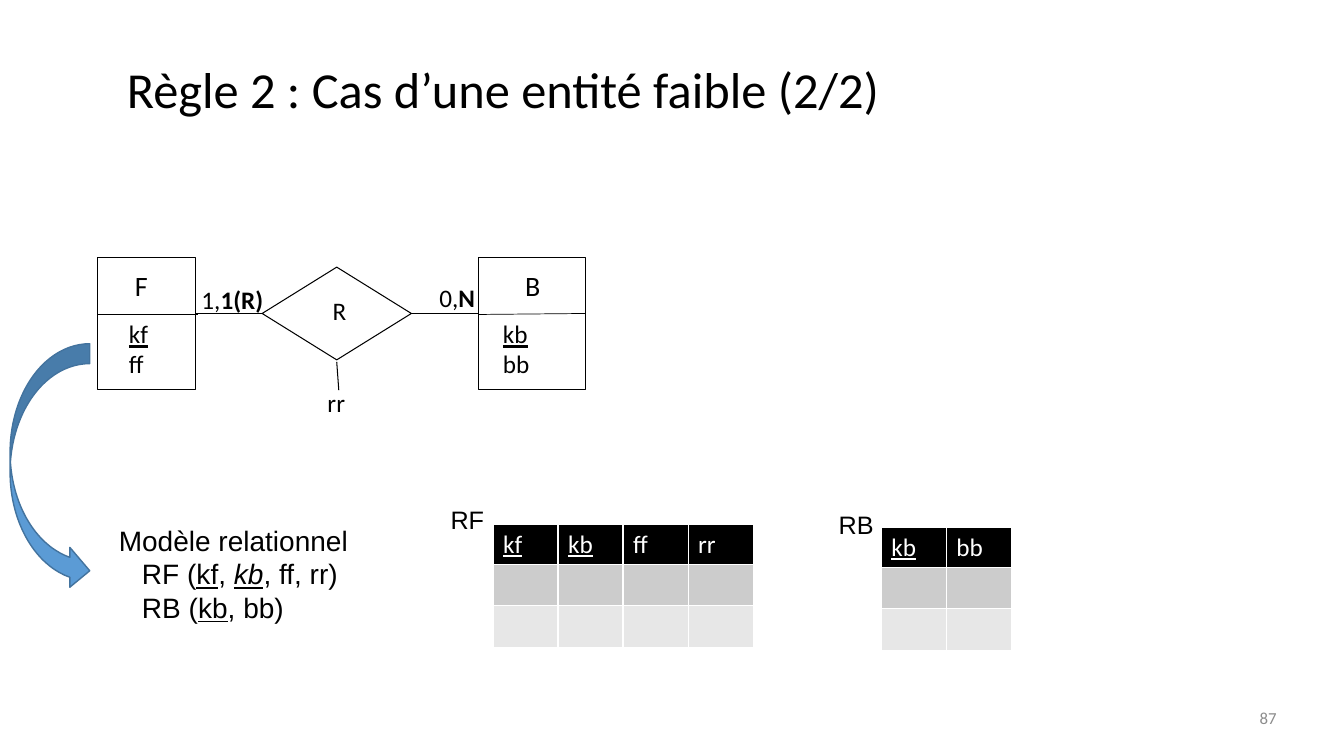
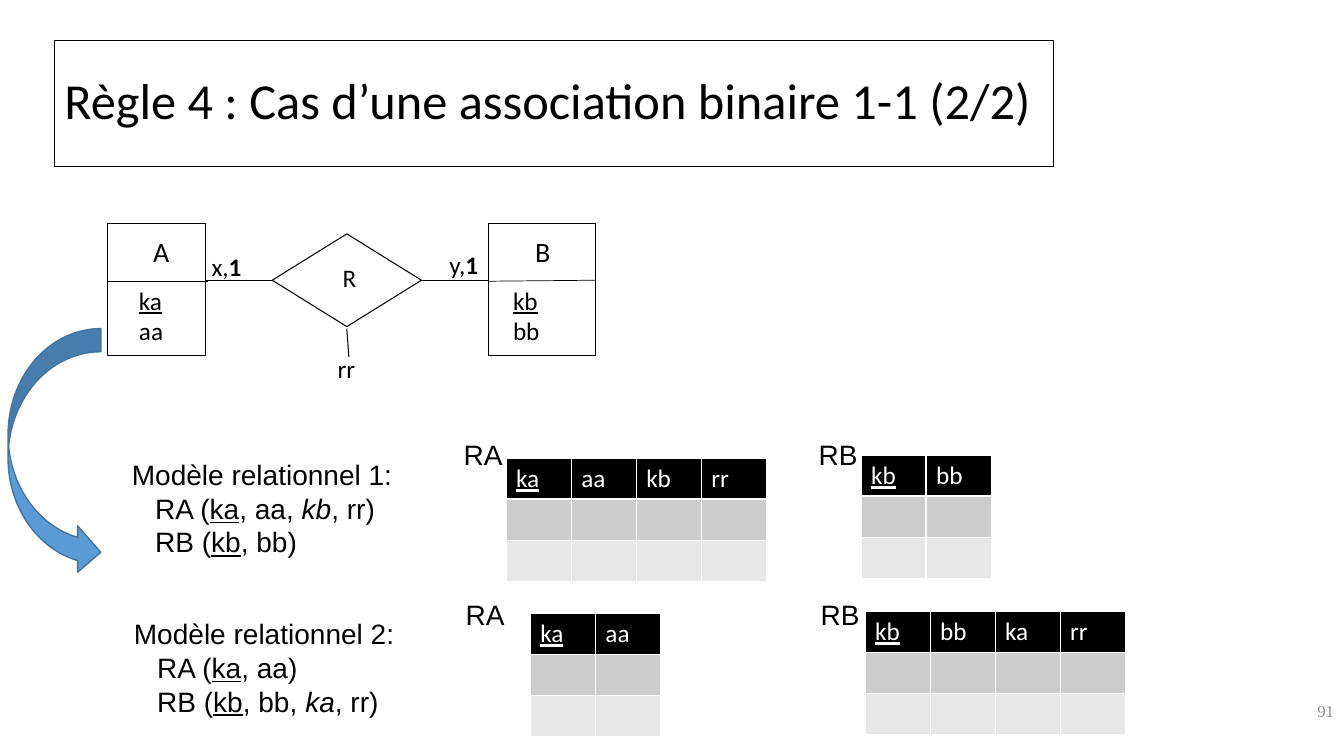
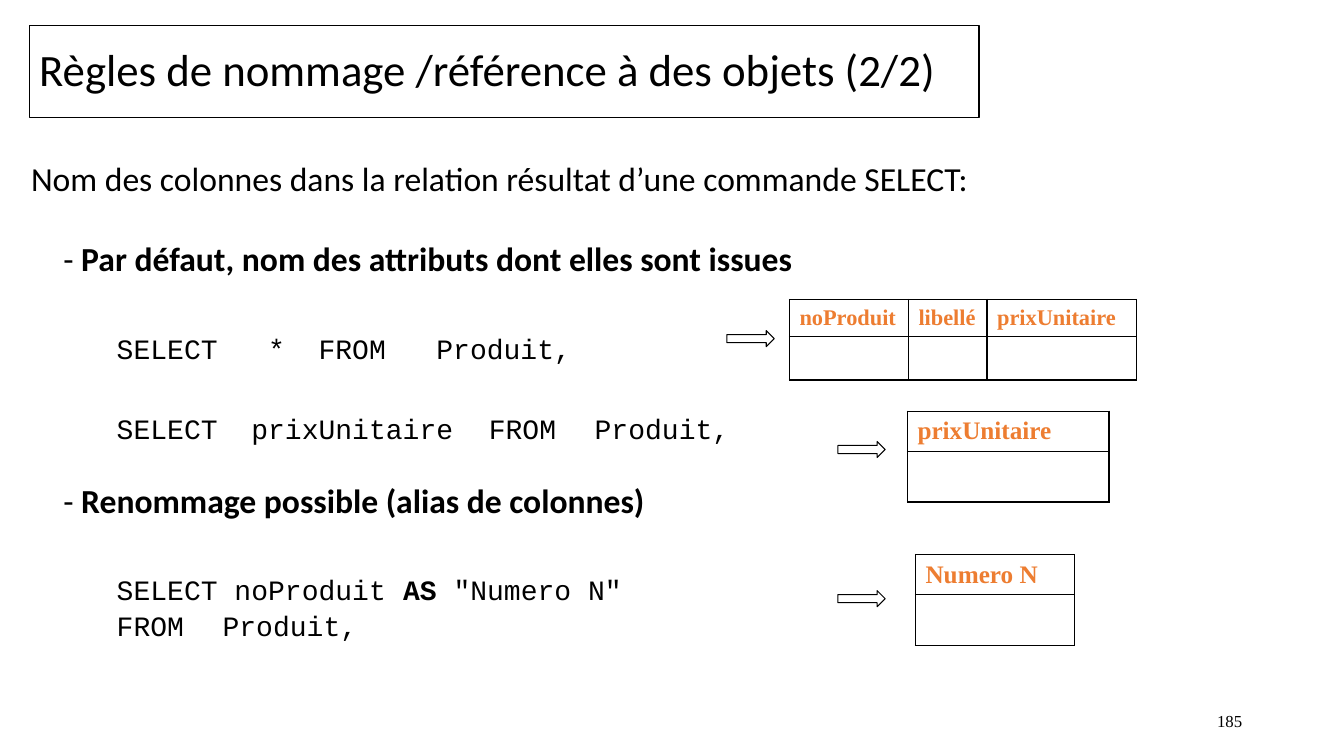
from lxml import etree
from pptx import Presentation
from pptx import util as u
from pptx.dml.color import RGBColor
from pptx.enum import shapes, text
from pptx.oxml import parse_xml
from pptx.oxml.ns import nsdecls, qn

PX = 9144
BLACK, WHITE, GREY = "000000", "FFFFFF", "8C8C8C"
BLUE, DARK_BLUE, ORANGE = "5B9BD5", "43739E", "ED7D31"
BODY, SANS, CODE, SERIF = "Calibri", "Arial", "Courier New", "Times New Roman"
rgb = RGBColor.from_string
shape, anchor = shapes.MSO_SHAPE, text.MSO_ANCHOR


def write(p, runs, size, font, color=BLACK):
    for words, marks in runs:
        r = p.add_run()
        r.text = words
        r.font.size, r.font.name = u.Pt(size), font
        r.font.color.rgb = rgb(color)
        r.font.bold, r.font.italic = "b" in marks, "i" in marks
        r.font.underline = "u" in marks


def draw(s, kind, box, line=None, fill=None, width=0.75):
    box = [v * PX for v in box]
    if kind is None:
        sp = s.shapes.add_textbox(*box)
    elif kind == "line":
        sp = s.shapes.add_connector(shapes.MSO_CONNECTOR.STRAIGHT, *box)
        etree.SubElement(sp._element.spPr, qn("a:effectLst"))
    else:
        sp = s.shapes.add_shape(kind, *box)
        sp.shadow.inherit = False
    if kind != "line":
        sp.text_frame.word_wrap = True
        if fill:
            sp.fill.solid()
            sp.fill.fore_color.rgb = rgb(fill)
        else:
            sp.fill.background()
    if line:
        sp.line.color.rgb = rgb(line)
        sp.line.width = u.Pt(width)
    return sp


prs = Presentation()
prs.slide_width, prs.slide_height = 1333 * PX, 750 * PX

frames = [
    ("Règle 2 : Cas d’une entité faible (2/2)", (116, 53, 1077, 100), 36, False,
     "87", (826, 692, 450, 40), BODY, GREY),
    ("Règle 4 : Cas d’une association binaire 1-1 (2/2)", (54, 40, 991, 125), 36, True,
     "91", (883, 685, 450, 40), SERIF, GREY),
    ("Règles de nommage /référence à des objets (2/2)", (29, 25, 942, 92), 32, True,
     "185", (942, 695, 300, 40), SERIF, BLACK),
]
for title, box, size, framed, number, number_box, font, color in frames:
    s = prs.slides.add_slide(prs.slide_layouts[6])
    sp = draw(s, shape.RECTANGLE if framed else None, box, BLACK if framed else None)
    tf = sp.text_frame
    tf.vertical_anchor = anchor.MIDDLE if framed else anchor.TOP
    p = tf.paragraphs[0]
    p.alignment = text.PP_ALIGN.LEFT
    p.line_spacing = 0.9 if framed else 1.0
    write(p, [(title, "")], size, BODY)
    tf = draw(s, None, number_box).text_frame
    tf.vertical_anchor = anchor.MIDDLE
    p = tf.paragraphs[0]
    p.alignment = text.PP_ALIGN.RIGHT
    write(p, [(number, "")], 12, font, color)

diagrams = [
    (prs.slides[0], 97, 255, "F", 27, "kf", "ff",
     [("1,", ""), ("1(R)", "b")], [("0,", ""), ("N", "b")], (10, 341, 79, 245)),
    (prs.slides[1], 107, 222, "A", 35, "ka", "aa",
     [("x,", ""), ("1", "b")], [("y,", ""), ("1", "b")], (8, 326, 92, 245)),
]
for s, x, y, name, name_x, key, attribute, left, right, arrow in diagrams:
    for kind, dx, dy, w, h in [
        (shape.DIAMOND, 163, 10, 148, 92),
        (shape.RECTANGLE, 0, 0, 97, 131),
        (shape.RECTANGLE, 378, 0, 106, 131),
    ]:
        draw(s, kind, (x + dx, y + dy, w, h), BLACK)
    for x1, y1, x2, y2, width in [
        (97, 56, 163, 56, 0.75),
        (311, 56, 378, 56, 0.75),
        (237, 104, 239, 132, 0.75),
        (0, 57, 99, 57, 0.5),
        (378, 57, 484, 56, 0.5),
    ]:
        draw(s, "line", (x + x1, y + y1, x + x2, y + y2), BLACK, width=width)
    for dx, dy, size, lines in [
        (223, 33, 18, [[("R", "")]]),
        (329, 20, 18, [right]),
        (93, 22, 18, [left]),
        (name_x, 6, 20, [[(name, "")]]),
        (414, 6, 20, [[("B", "")]]),
        (21, 56, 18, [[(key, "u")], [(attribute, "")]]),
        (392, 56, 18, [[("kb", "u")], [("bb", "")]]),
        (218, 124, 18, [[("rr", "")]]),
    ]:
        tf = draw(s, None, (x + dx, y + dy, 100, 10 + 31 * len(lines))).text_frame
        for i, runs in enumerate(lines):
            write(tf.add_paragraph() if i else tf.paragraphs[0], runs, size, BODY)
    draw(s, shape.CURVED_RIGHT_ARROW, arrow, DARK_BLUE, BLUE, 1)

models = [
    (prs.slides[0], 108, 514, "Modèle relationnel",
     [("RF (", ""), ("kf", "u"), (", ", ""), ("kb", "iu"), (", ff, rr)", "")],
     [("RB (", ""), ("kb", "u"), (", bb)", "")]),
    (prs.slides[1], 121, 449, "Modèle relationnel 1:",
     [("RA (", ""), ("ka", "u"), (", aa, ", ""), ("kb", "i"), (", rr)", "")],
     [("RB (", ""), ("kb", "u"), (", bb)", "")]),
    (prs.slides[1], 123, 607, "Modèle relationnel 2:",
     [("RA (", ""), ("ka", "u"), (", aa)", "")],
     [("RB (", ""), ("kb", "u"), (", bb, ", ""), ("ka", "i"), (", rr)", "")]),
]
for s, x, y, heading, *relations in models:
    tf = draw(s, None, (x, y, 290, 111)).text_frame
    write(tf.paragraphs[0], [(heading, "")], 20, SANS)
    for runs in relations:
        p = tf.add_paragraph()
        p._p.get_or_add_pPr().set("marL", str(23 * PX))
        write(p, runs, 20, SANS)

relation_tables = [
    (prs.slides[0], "RF", 18, 437, 495, 489, 520, [("kf", "u"), ("kb", "u"), ("ff", ""), ("rr", "")]),
    (prs.slides[0], "RB", 18, 822, 500, 874, 523, [("kb", "u"), ("bb", "")]),
    (prs.slides[1], "RA", 20, 450, 429, 502, 455, [("ka", "u"), ("aa", ""), ("kb", ""), ("rr", "")]),
    (prs.slides[1], "RB", 20, 802, 429, 854, 452, [("kb", "u"), ("bb", "")]),
    (prs.slides[1], "RA", 20, 452, 588, 526, 609, [("ka", "u"), ("aa", "")]),
    (prs.slides[1], "RB", 20, 804, 588, 858, 607, [("kb", "u"), ("bb", ""), ("ka", ""), ("rr", "")]),
]
tables = []
for s, label, size, label_x, label_y, x, y, headers in relation_tables:
    tf = draw(s, None, (label_x, label_y, 69, 44)).text_frame
    write(tf.paragraphs[0], [(label, "")], size, SANS)
    n = len(headers)
    tables.append((s, x, y, [64.5] * n, [40, 41, 41], headers, 18, BODY, WHITE,
                   [BLACK, "CCCCCC", "E7E7E7"], WHITE))

s = prs.slides[2]
for x, y, widths, heights, names, size in [
    (783, 297, [118, 78, 148], [37, 43], ["noProduit", "libellé", "prixUnitaire"], 16),
    (900, 408, [200], [40, 50], ["prixUnitaire"], 18),
    (908, 550, [158], [40, 50], ["Numero N"], 18),
]:
    tables.append((s, x, y, widths, heights, [(name, "b") for name in names], size,
                   SERIF, ORANGE, [None, None], BLACK))

for s, x, y, widths, heights, headers, size, font, color, fills, border in tables:
    box = [int(v * PX) for v in (x, y, sum(widths), sum(heights))]
    tbl = s.shapes.add_table(len(heights), len(widths), *box).table
    tbl.first_row = tbl.horz_banding = False
    for column, w in zip(tbl.columns, widths):
        column.width = int(w * PX)
    for row, h, fill in zip(tbl.rows, heights, fills):
        row.height = h * PX
        for cell in row.cells:
            tcPr = cell._tc.get_or_add_tcPr()
            for side in ("lnL", "lnR", "lnT", "lnB"):
                tcPr.append(parse_xml(
                    f'<a:{side} {nsdecls("a")} w="12700"><a:solidFill>'
                    f'<a:srgbClr val="{border}"/></a:solidFill></a:{side}>'))
            if fill:
                cell.fill.solid()
                cell.fill.fore_color.rgb = rgb(fill)
            else:
                cell.fill.background()
                cell.vertical_anchor = anchor.MIDDLE
    for cell, run in zip(tbl.rows[0].cells, headers):
        write(cell.text_frame.paragraphs[0], [run], size, font, color)

s = prs.slides[2]
tf = draw(s, None, (21, 164, 967, 500)).text_frame
body = [
    (0, [], [("Nom des colonnes dans la relation résultat d’une commande SELECT:", "")], 24, BODY),
    (37, [32], [("\t- ", ""), ("Par défaut, nom des attributs dont elles sont issues", "b")], 24, BODY),
    (42, [85, 402], [("\tSELECT   *  FROM\tProduit,", "")], 20, CODE),
    (37, [85, 454, 559], [("\tSELECT  prixUnitaire\tFROM\tProduit,", "")], 20, CODE),
    (34, [32], [("\t- ", ""), ("Renommage possible (alias de colonnes)", "b")], 24, BODY),
    (41, [85], [("\tSELECT noProduit ", ""), ("AS", "b"), (' "Numero N"', "")], 20, CODE),
    (6, [85, 190], [("\tFROM\tProduit,", "")], 20, CODE),
]
for i, (before, stops, runs, size, font) in enumerate(body):
    p = tf.add_paragraph() if i else tf.paragraphs[0]
    p.line_spacing = u.Pt(20)
    if before:
        p.space_before = u.Pt(before)
    if stops:
        tabs = etree.SubElement(p._p.get_or_add_pPr(), qn("a:tabLst"))
        for stop in stops:
            etree.SubElement(tabs, qn("a:tab"), pos=str(stop * PX), algn="l")
    write(p, runs, size, font)

for x, y in [(721, 328), (831, 438), (831, 586)]:
    draw(s, shape.RIGHT_ARROW, (x, y, 47, 16), BLACK)

prs.save("out.pptx")
